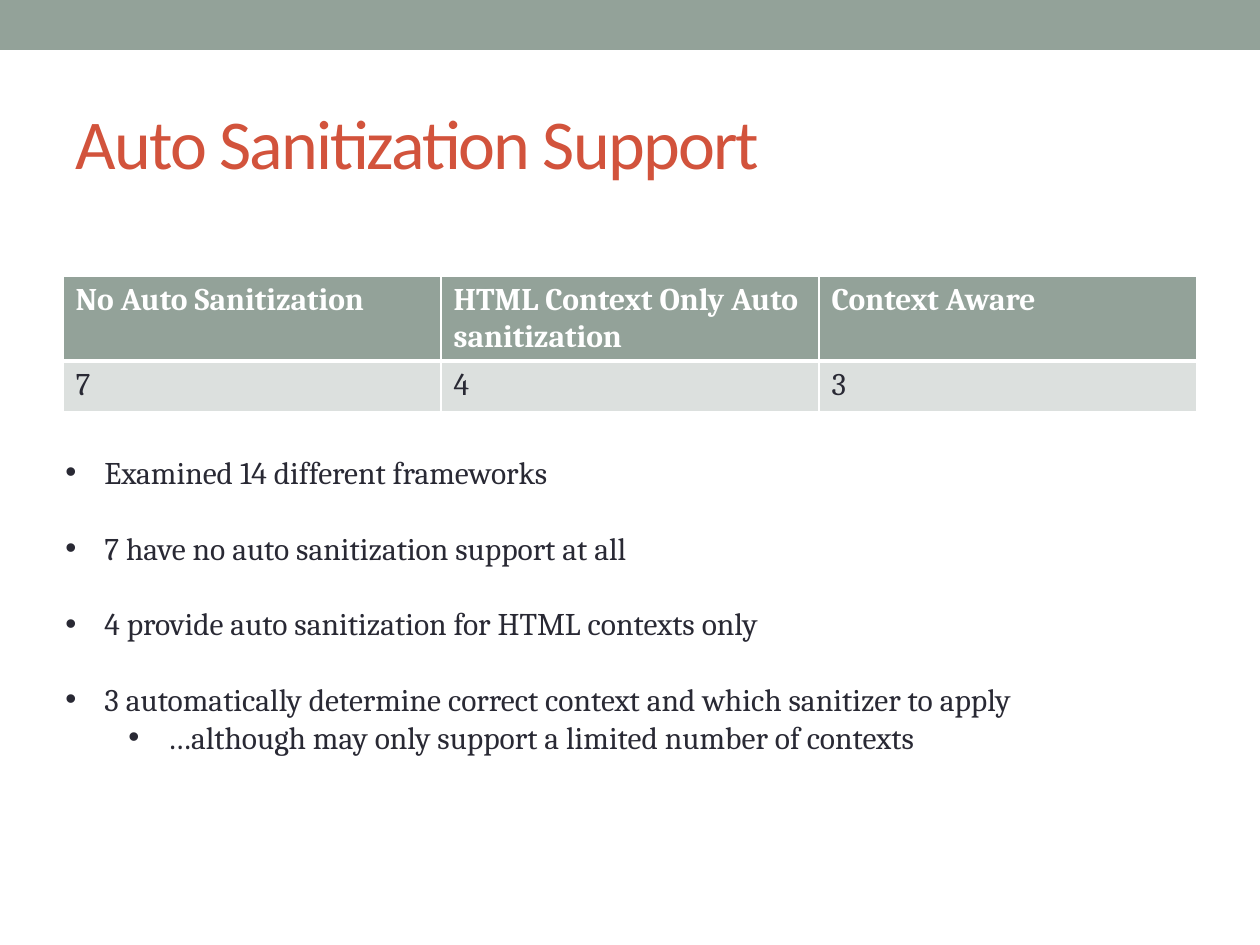
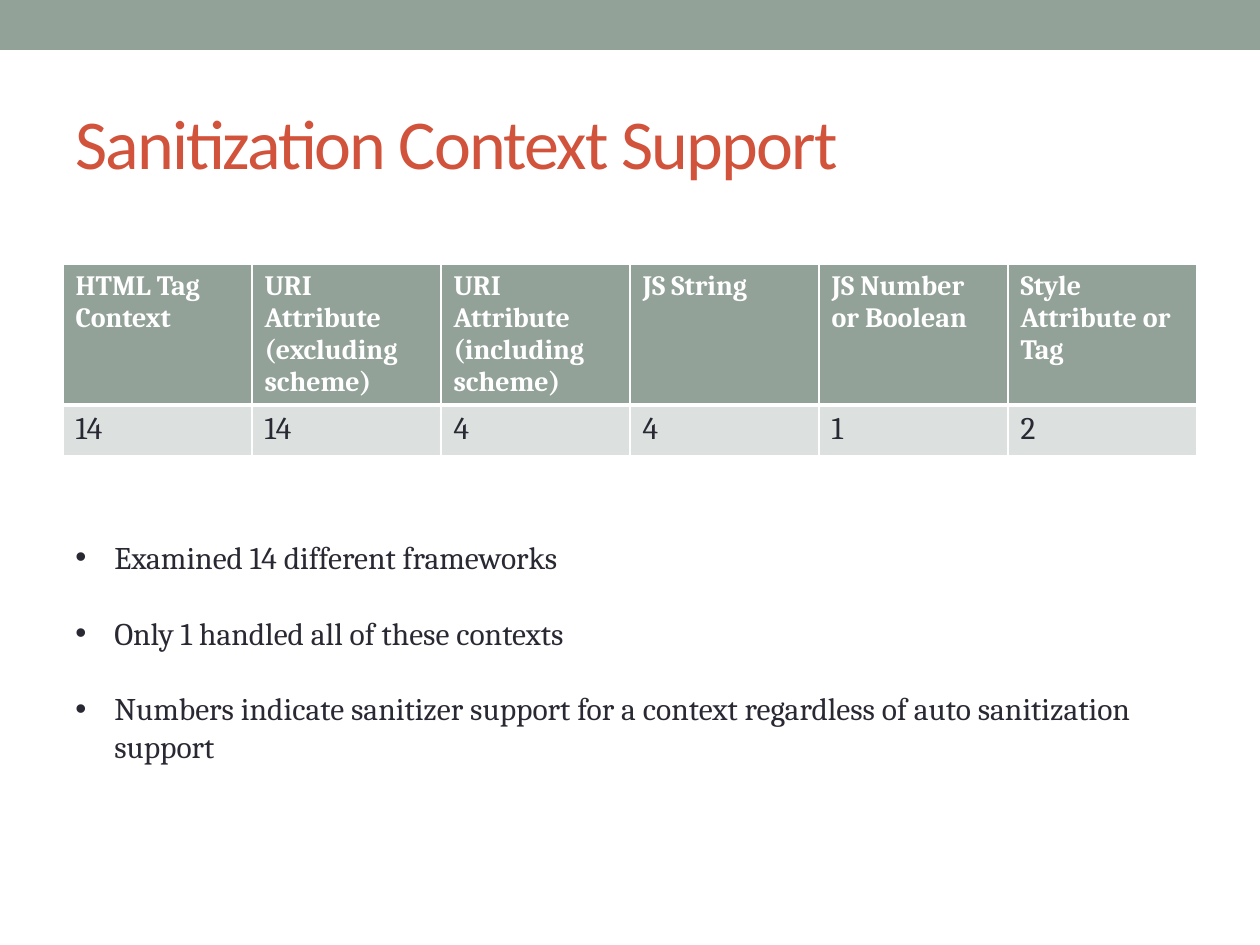
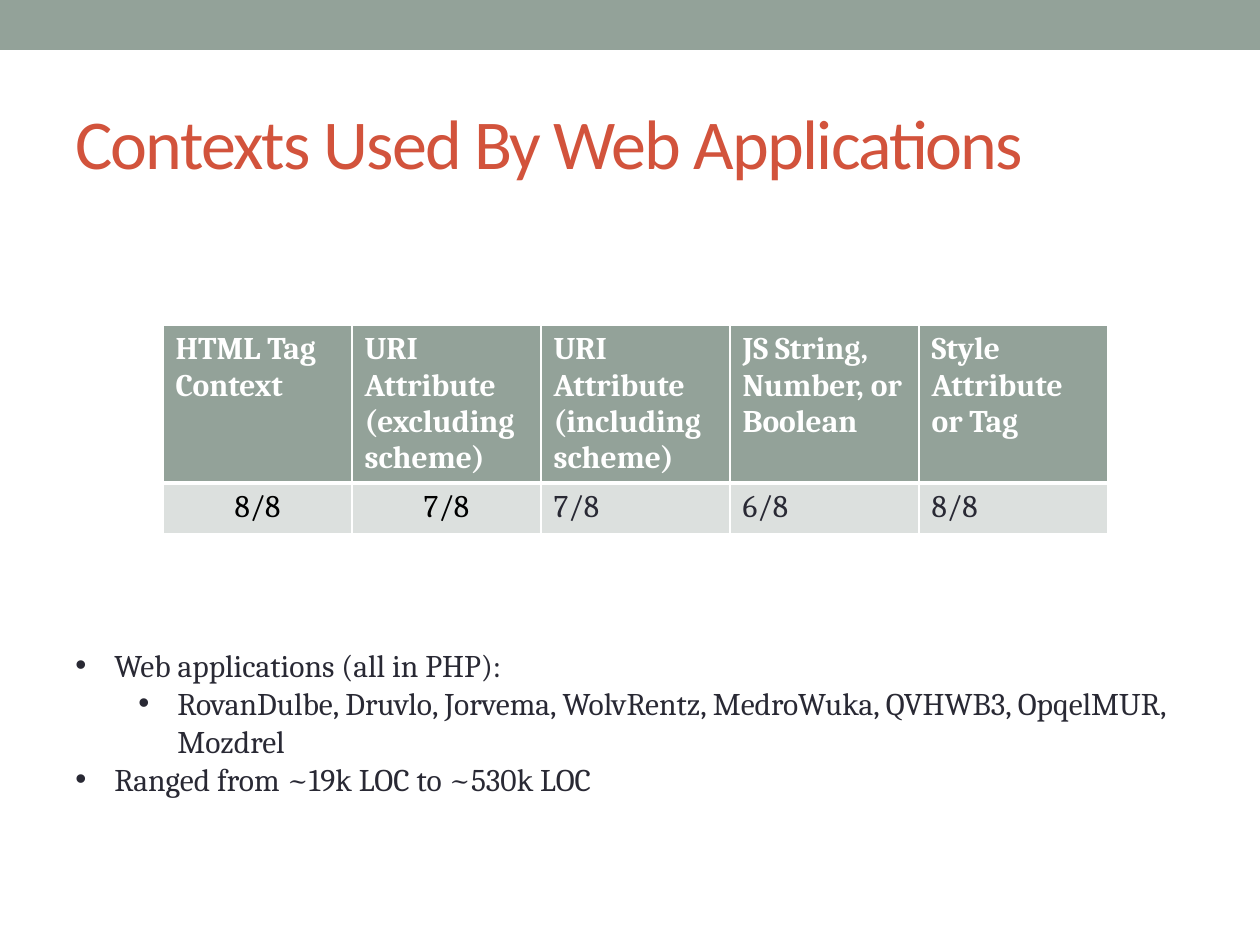
from pptx import Presentation as Deck
from pptx.dml.color import RGBColor as Rgb
from pptx.enum.shapes import MSO_SHAPE as Kind
from pptx.enum.text import MSO_ANCHOR as Anchor, MSO_AUTO_SIZE as Auto, PP_ALIGN as Align
from pptx.oxml.ns import qn
from pptx.util import Pt
from lxml.etree import SubElement as sub

SCALE = 914400 / 126
SAGE, RUST, INK, PALE = "93A299", "D2533C", "292934", "DCE0DE"
WHITE, BLACK = "FFFFFF", "000000"
HEAD, BODY = "Calibri", "Cambria"
LINE = 21.6


def px(n):
    return round(n * SCALE)


def area(box):
    return [px(n) for n in box]


def tint(name):
    return Rgb.from_string(name)


def style(para, face, size, color, bold=False):
    font = para.font
    font.name, font.size, font.bold = face, Pt(size), bold
    font.color.rgb = tint(color)


def band(slide, box):
    bar = slide.shapes.add_shape(Kind.RECTANGLE, *area(box))
    bar.shadow.inherit = False
    bar.fill.solid()
    bar.fill.fore_color.rgb = tint(SAGE)
    bar.line.fill.background()


def title(slide, box, text):
    frame = slide.shapes.add_textbox(*area(box)).text_frame
    frame.word_wrap = True
    frame.vertical_anchor = Anchor.MIDDLE
    para = frame.paragraphs[0]
    run = para.add_run()
    run.text = text
    style(para, HEAD, 40, RUST)
    run.font._element.set("spc", "-100")


def edge(cell, side, width):
    line = sub(cell._tc.get_or_add_tcPr(), qn("a:ln" + side), w=str(Pt(width)))
    sub(sub(line, qn("a:solidFill")), qn("a:srgbClr"), val=WHITE)


def fill(cell, text, size, color, back, sides):
    for side, width in zip("LRTB", sides):
        edge(cell, side, width)
    cell.fill.solid()
    cell.fill.fore_color.rgb = tint(back)
    cell.margin_bottom = 0
    para = cell.text_frame.paragraphs[0]
    para.text = text
    style(para, BODY, size, color, bold=back == SAGE)
    return para


def grid(slide, left, top, wide, tall, heads, vals, size=18, mid=0):
    count, low = len(heads), 51
    box = area((left, top, wide * count, tall + low))
    table = slide.shapes.add_table(2, count, *box).table
    table.first_row = table.horz_banding = False
    for row, high in zip(table.rows, (tall, low)):
        row.height = px(high)
    for col, (head, val) in enumerate(zip(heads, vals)):
        table.columns[col].width = px(wide)
        fill(table.cell(0, col), head, size, WHITE, SAGE, (1, 1, 1, 3))
        color = BLACK if col < mid else INK
        para = fill(table.cell(1, col), val, 18, color, PALE, (1, 1, 3, 1))
        if col < mid:
            para.alignment = Align.CENTER


def bullets(slide, box, items, gap=0):
    frame = slide.shapes.add_textbox(*area(box)).text_frame
    frame.word_wrap = True
    frame.auto_size = Auto.SHAPE_TO_FIT_TEXT
    for num, (level, text) in enumerate(items):
        para = frame.add_paragraph() if num else frame.paragraphs[0]
        para.text = text
        para.level = level
        para.line_spacing = Pt(LINE)
        para.space_before = Pt(gap if num and not level else 0)
        style(para, BODY, 18, INK)
        props = para._p.get_or_add_pPr()
        props.set("marL", str(px(39 + 63 * level)))
        props.set("indent", str(px(-39)))
        sub(props, qn("a:buFont"), typeface="Arial")
        sub(props, qn("a:buChar"), char="•")


def page(deck, text):
    slide = deck.slides.add_slide(deck.slide_layouts[6])
    band(slide, (0, 0, 1260, 50))
    title(slide, (63, 73, 1134, 136), text)
    return slide


def auto(deck):
    slide = page(deck, "Auto Sanitization Support")
    grid(slide, 63, 276, 378, 85,
         ("No Auto Sanitization", "HTML Context Only Auto sanitization", "Context Aware"),
         ("7", "4", "3"))
    bullets(slide, (53, 447, 1166, 318), (
        (0, "Examined 14 different frameworks"),
        (0, "7 have no auto sanitization support at all"),
        (0, "4 provide auto sanitization for HTML contexts only"),
        (0, "3 automatically determine correct context and which sanitizer to apply"),
        (1, "…although may only support a limited number of contexts"),
    ), LINE)


TAGS = ("HTML Tag Context", "URI Attribute (excluding scheme)",
        "URI Attribute (including scheme)")
LAST = "Style Attribute or Tag"


def support(deck):
    slide = page(deck, "Sanitization Context Support")
    grid(slide, 63, 264, 189, 141, (*TAGS, "JS String", "JS Number or Boolean", LAST),
         ("14", "14", "4", "4", "1", "2"), size=16)
    bullets(slide, (63, 532, 1144, 242), (
        (0, "Examined 14 different frameworks"),
        (0, "Only 1 handled all of these contexts"),
        (0, "Numbers indicate sanitizer support for a context regardless of "
            "auto sanitization support"),
    ), LINE)


def usage(deck):
    slide = page(deck, "Contexts Used By Web Applications")
    grid(slide, 163, 325, 189, 158, (*TAGS, "JS String, Number, or Boolean", LAST),
         ("8/8", "7/8", "7/8", "6/8", "8/8"), mid=2)
    bullets(slide, (63, 640, 1144, 165), (
        (0, "Web applications (all in PHP):"),
        (1, "RovanDulbe, Druvlo, Jorvema, WolvRentz, MedroWuka, QVHWB3, OpqelMUR, Mozdrel"),
        (0, "Ranged from ~19k LOC to ~530k LOC"),
    ))


def main():
    deck = Deck()
    deck.slide_width, deck.slide_height = px(1260), px(945)
    for build in (auto, support, usage):
        build(deck)
    deck.save("out.pptx")


if __name__ == "__main__":
    main()
